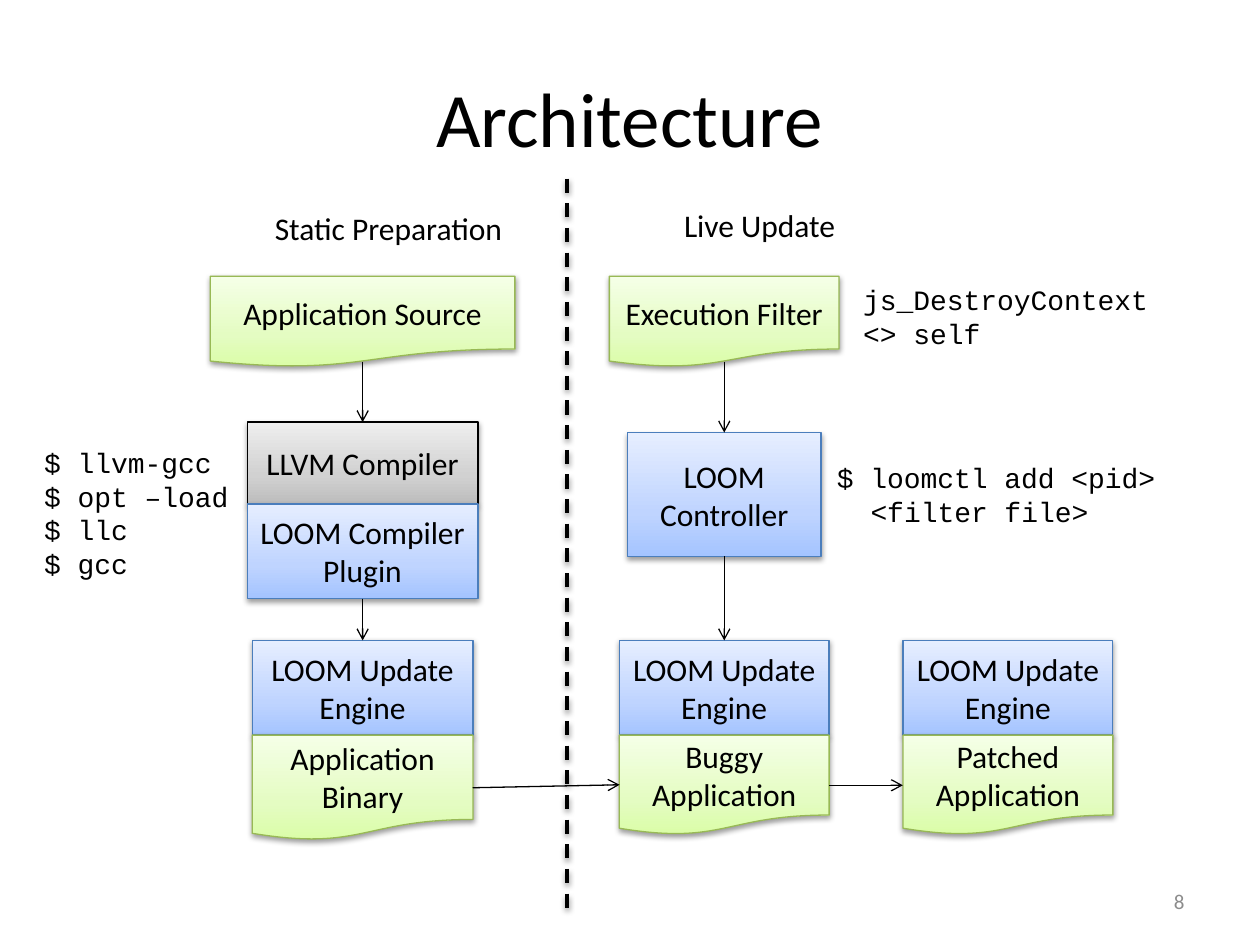
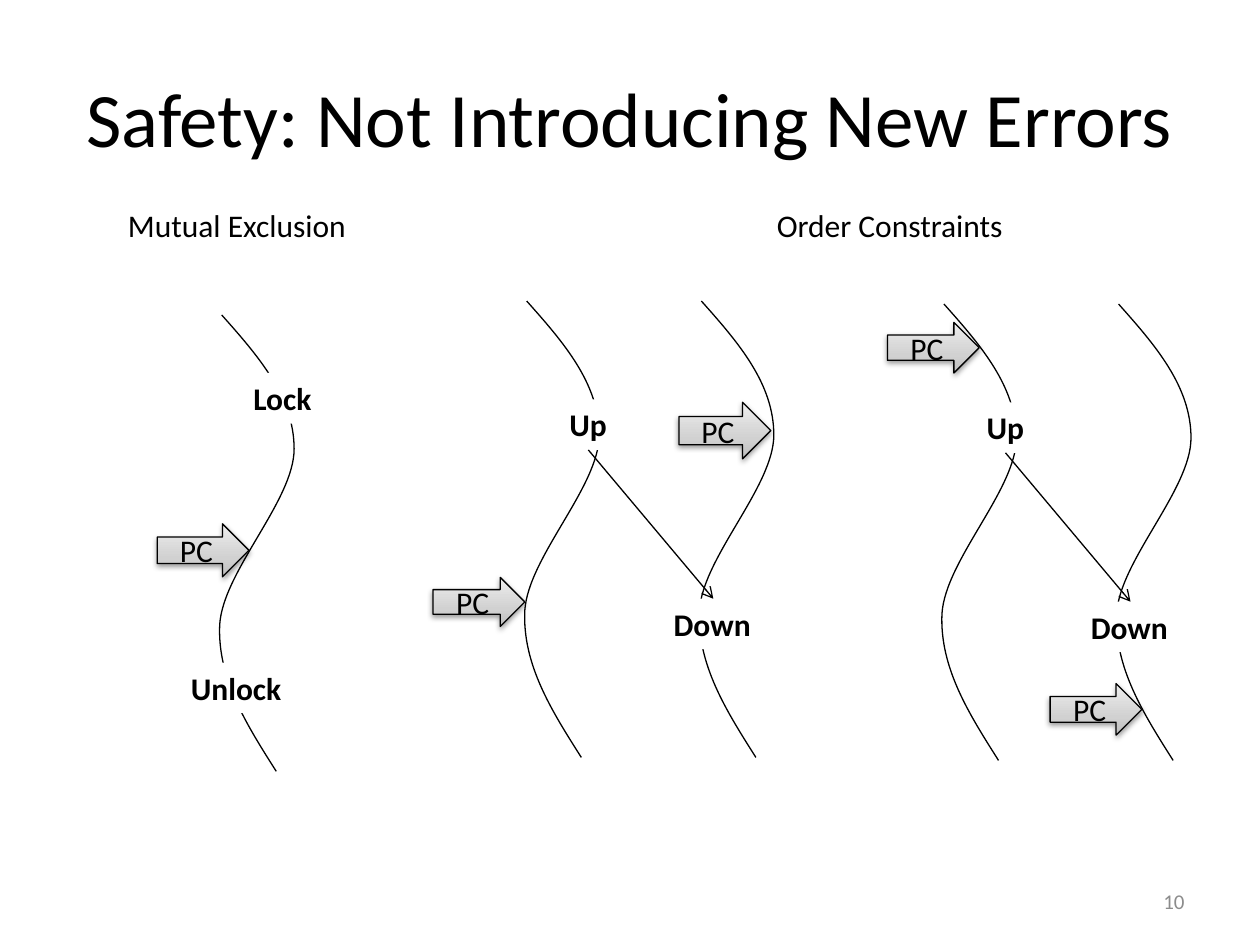
from lxml import etree
from pptx import Presentation
from pptx import util as u
from pptx.dml.color import RGBColor
from pptx.enum import dml, shapes, text
from pptx.oxml import parse_xml
from pptx.oxml.ns import qn

COLORS = {"ink": "000000", "paper": "FFFFFF", "number": "8C8C8C"}

# Each look: line colour, then gradient colours from bottom to top
LOOKS = {
    "grey": ("000000", ("BDBDBD", "D1D1D1", "EEEEEE")),
    "blue": ("4B7EBC", ("A4C4FF", "BFD4FF", "E6EEFF")),
    "green": ("98B955", ("DAFDA7", "E4FCC2", "F5FFE7")),
}
STOPS = (0, 35000, 100000)

BODY = {"name": "Calibri", "size": u.Pt(18)}
BOLD = {**BODY, "bold": True}
TITLE = {**BODY, "size": u.Pt(44)}
NUMBER = {**BODY, "size": u.Pt(12)}
CODE = {"name": "Courier New", "size": u.Pt(16)}

SHADOW = (
    '<a:effectLst xmlns:a="http://schemas.openxmlformats.org/drawingml/2006/main">'
    '<a:outerShdw blurRad="40000" dist="20000" dir="5400000" rotWithShape="0">'
    '<a:srgbClr val="000000"><a:alpha val="38000"/></a:srgbClr>'
    "</a:outerShdw></a:effectLst>"
)

RECT = shapes.MSO_SHAPE.RECTANGLE
DOC = shapes.MSO_SHAPE.FLOWCHART_DOCUMENT
ARROW = shapes.MSO_SHAPE.RIGHT_ARROW
LEFT, CENTER, RIGHT = text.PP_ALIGN.LEFT, text.PP_ALIGN.CENTER, text.PP_ALIGN.RIGHT

# Thread curve: three Bezier segments relative to its upper end, in cm
THREAD = (
    ((0.74, 0.83), (1.46, 1.66), (1.46, 2.7)),
    ((1.46, 3.74), (0.03, 5.16), (-0.04, 6.24)),
    ((-0.09, 7.33), (0.51, 8.27), (1.1, 9.2)),
)


def rgb(hex_color):
    return RGBColor.from_string(hex_color)


def put_text(sp, lines, font, color="ink", align=CENTER, middle=True, wrap=True):
    tf = sp.text_frame
    tf.word_wrap = wrap
    tf.vertical_anchor = text.MSO_ANCHOR.MIDDLE if middle else text.MSO_ANCHOR.TOP
    for i, line in enumerate(lines):
        p = tf.paragraphs[0] if i == 0 else tf.add_paragraph()
        p.alignment = align
        r = p.add_run()
        r.text = line
        for name, value in font.items():
            setattr(r.font, name, value)
        r.font.color.rgb = rgb(COLORS[color])
    return tf


def text_box(s, box, *lines, font=BODY, fill=None, **options):
    sp = s.shapes.add_textbox(*map(u.Cm, box))
    if fill:
        sp.fill.solid()
        sp.fill.fore_color.rgb = rgb(COLORS[fill])
    return put_text(sp, lines, font, **options)


def label(s, box, *lines, **options):
    return text_box(s, box, *lines, align=LEFT, middle=False, wrap=False, **options)


def set_line(line, color, width=0.75):
    line.color.rgb = rgb(color)
    line.width = u.Pt(width)


def block(s, preset, box, caption, look):
    """Preset shape with gradient, thin line and soft shadow."""
    sp = s.shapes.add_shape(preset, *map(u.Cm, box))
    line_color, shades = LOOKS[look]
    sp.fill.gradient()
    grad = sp.element.spPr.find(qn("a:gradFill"))
    stops = grad.find(qn("a:gsLst"))
    stops.clear()
    for pos, shade in zip(STOPS, shades):
        stop = etree.SubElement(stops, qn("a:gs"), pos=str(pos))
        etree.SubElement(stop, qn("a:srgbClr"), val=shade)
    grad.find(qn("a:lin")).set("ang", "16200000")
    set_line(sp.line, line_color)
    sp.element.spPr.append(parse_xml(SHADOW))
    put_text(sp, [caption], BODY)


def column_block(s, preset, cx, top, width, height, caption, look):
    block(s, preset, (cx - width / 2, top, width, height), caption, look)


def engine_stack(s, cx, width, doc_height, caption):
    """Update engine sitting on an application document."""
    column_block(s, RECT, cx, 12.91, width, 1.91, "LOOM Update Engine", "blue")
    column_block(s, DOC, cx, 14.82, width, doc_height, caption, "green")


def connect(s, x1, y1, x2, y2, width=0.75):
    cn = s.shapes.add_connector(
        shapes.MSO_CONNECTOR.STRAIGHT, *map(u.Cm, (x1, y1, x2, y2)))
    set_line(cn.line, COLORS["ink"], width)
    return cn


def arrow(s, *ends):
    cn = connect(s, *ends)
    etree.SubElement(cn.line._get_or_add_ln(), qn("a:tailEnd"), type="arrow")
    etree.SubElement(cn.element.spPr, qn("a:effectLst"))


def divider(s, x, top, bottom):
    cn = connect(s, x, top, x, bottom, width=2)
    cn.line.dash_style = dml.MSO_LINE.DASH
    cn.element.spPr.append(parse_xml(SHADOW))


def thread(s, x, y):
    """Winding line of one running thread."""
    builder = s.shapes.build_freeform(u.Cm(x), u.Cm(y))
    knots = [(u.Cm(x + dx), u.Cm(y + dy)) for *_, (dx, dy) in THREAD]
    builder.add_line_segments(knots, close=False)
    sp = builder.convert_to_shape()
    # Turn the straight segments into Bezier curves
    for straight, segment in zip(list(sp.element.iter(qn("a:lnTo"))), THREAD):
        curve = etree.Element(qn("a:cubicBezTo"))
        for dx, dy in segment:
            etree.SubElement(curve, qn("a:pt"), x=str(u.Cm(x + dx) - sp.left),
                             y=str(u.Cm(y + dy) - sp.top))
        straight.getparent().replace(straight, curve)
    sp.fill.background()
    sp.shadow.inherit = False
    set_line(sp.line, COLORS["ink"])


def event(s, x, y, width, name):
    label(s, (x, y, width, 1.02), name, font=BOLD, fill="paper")


def counter(s, x, y, height):
    block(s, ARROW, (x, y, 1.85, height), "PC", "grey")


def ordered_pair(s, x, y):
    """Two threads where Up must come before Down."""
    for dx in (0, 3.52):
        thread(s, x + dx, y)
    event(s, x + 0.61, y + 1.98, 1.27, "Up")
    event(s, x + 2.71, y + 6, 2.08, "Down")
    arrow(s, x + 1.24, y + 3, x + 3.76, y + 6)


def new_slide(prs, title, number):
    s = prs.slides.add_slide(prs.slide_layouts[6])
    text_box(s, (1.27, 0.76, 22.86, 3.18), title, font=TITLE)
    text_box(s, (18.2, 17.66, 5.93, 1.01), number, font=NUMBER,
             color="number", align=RIGHT)
    return s


def architecture(prs):
    s = new_slide(prs, "Architecture", "8")
    static, live, patched = 7.31, 14.6, 20.32

    # Headings and divider
    divider(s, 11.43, 3.6, 18.42)
    label(s, (5.29, 4.09, 5.16, 1.02), "Static Preparation")
    label(s, (13.54, 4.02, 3.61, 1.02), "Live Update")

    # Static preparation
    column_block(s, RECT, static, 8.51, 4.65, 1.65, "LLVM Compiler", "grey")
    column_block(s, RECT, static, 10.16, 4.65, 1.9, "LOOM Compiler Plugin", "blue")
    column_block(s, DOC, static, 5.57, 6.14, 1.83, "Application Source", "green")
    engine_stack(s, static, 4.45, 2.12, "Application Binary")

    # Live update
    column_block(s, DOC, live, 5.57, 4.63, 1.83, "Execution Filter", "green")
    column_block(s, RECT, live, 8.72, 3.9, 2.5, "LOOM Controller", "blue")
    engine_stack(s, live, 4.23, 2.01, "Buggy Application")
    engine_stack(s, patched, 4.23, 2.01, "Patched Application")

    # Flow
    for x, top, bottom in ((static, 7.29, 8.51), (static, 12.07, 12.91),
                           (live, 7.29, 8.72), (live, 11.21, 12.91)):
        arrow(s, x, top, x, bottom)
    arrow(s, 9.53, 15.88, 12.49, 15.82)
    arrow(s, 16.72, 15.83, 18.2, 15.83)

    # Commands
    label(s, (0.64, 8.86, 4.29, 3), "$ llvm-gcc", "$ opt –load", "$ llc", "$ gcc",
          font=CODE)
    label(s, (17.15, 5.57, 6.35, 1.63), "js_DestroyContext", "<> self", font=CODE)
    tf = label(s, (16.62, 9.16, 7.04, 1.63), "$ loomctl add <pid>", "<filter file>",
               font=CODE)
    tf.paragraphs[1]._p.get_or_add_pPr().set("marL", str(u.Cm(0.68)))


def safety(prs):
    s = new_slide(prs, "Safety: Not Introducing New Errors", "10")

    # Mutual exclusion
    label(s, (2.33, 4.02, 4.95, 1.02), "Mutual Exclusion")
    thread(s, 4.47, 6.35)
    event(s, 4.86, 7.52, 1.7, "Lock")
    event(s, 3.6, 13.36, 2.34, "Unlock")
    counter(s, 3.17, 10.56, 1.07)

    # Order constraints
    label(s, (15.41, 4.02, 5.11, 1.02), "Order Constraints")
    ordered_pair(s, 10.62, 6.07)
    counter(s, 8.73, 11.64, 0.99)
    counter(s, 13.69, 8.11, 1.14)
    counter(s, 17.89, 6.5, 1.02)
    ordered_pair(s, 19.03, 6.13)
    counter(s, 21.17, 13.78, 1.04)


def main():
    prs = Presentation()
    prs.slide_width, prs.slide_height = u.Cm(25.4), u.Cm(19.05)
    architecture(prs)
    safety(prs)
    prs.save("out.pptx")


if __name__ == "__main__":
    main()
